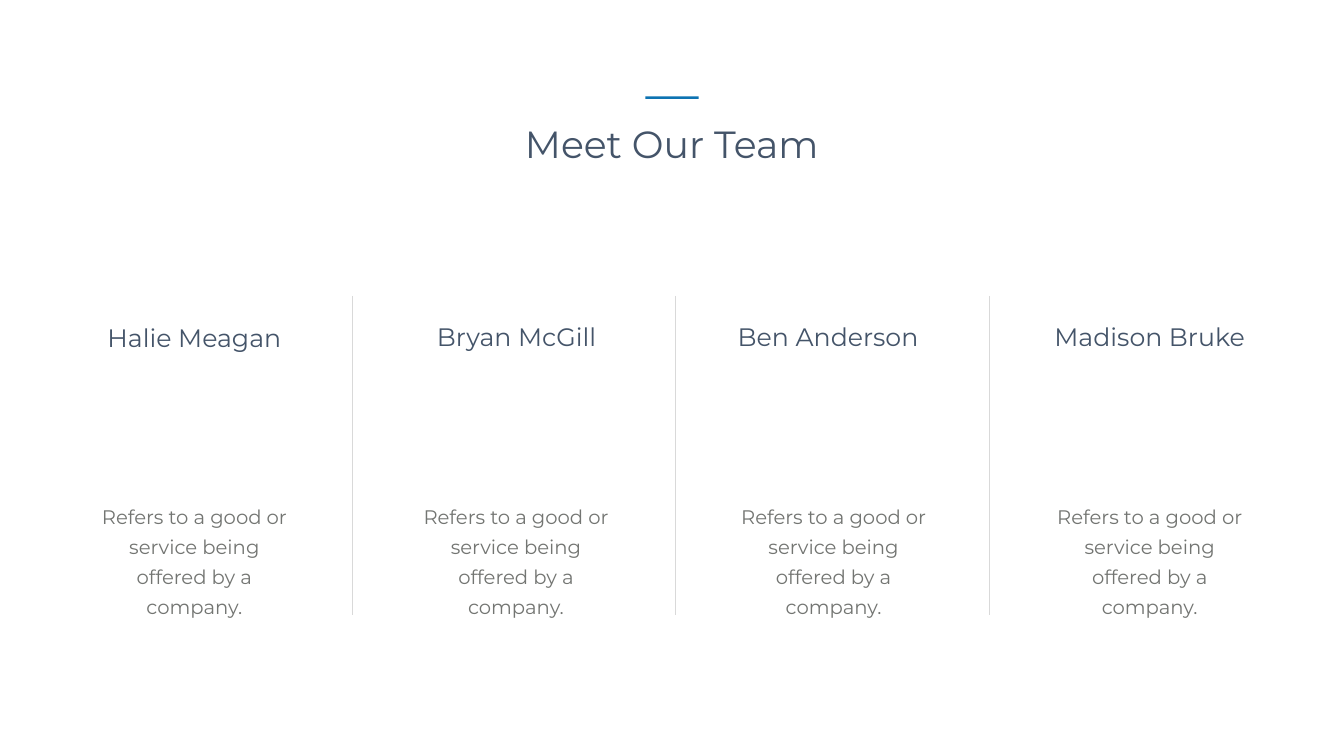
from lxml import etree
from pptx import Presentation
from pptx.dml.color import RGBColor
from pptx.enum import shapes, text
from pptx.oxml import ns
from pptx.util import Inches, Pt

FONT = "Montserrat"
COLORS = {"heading": "445469", "body": "737572", "accent": "0D73B2", "divider": "D9D9D9"}
DESCRIPTION = "Refers to a good or service being offered by a company."

# Name, left and top of the name, width of the name, left of the description
MEMBERS = [
    ("Halie Meagan", 1.81, 6.35, 4.09, 1.6),
    ("Bryan McGill", 8.2, 6.32, 4.09, 7.98),
    ("Ben Anderson", 14.29, 6.32, 4.27, 14.28),
    ("Madison Bruke", 20.76, 6.32, 4.09, 20.55),
]
DIVIDERS = [6.99, 13.39, 19.63]


def color(name):
    return RGBColor.from_string(COLORS[name])


def write(box, words, size, color_name, wrap=True):
    """Fill a text frame with one centred paragraph and return the paragraph."""
    frame = box.text_frame
    frame.word_wrap = wrap
    frame.auto_size = text.MSO_AUTO_SIZE.NONE
    frame.vertical_anchor = text.MSO_ANCHOR.TOP
    para = frame.paragraphs[0]
    para.alignment = text.PP_ALIGN.CENTER
    span = para.add_run()
    span.text = words
    span.font.name = FONT
    span.font.size = Pt(size)
    span.font.color.rgb = color(color_name)
    return para


def add_title(page, words):
    title = page.shapes.title
    title.left, title.top = Inches(10.26), Inches(2.34)
    title.width, title.height = Inches(6.13), Inches(1.01)
    write(title, words, 54, "heading", wrap=False)


def add_accent(page):
    bar = page.shapes.add_shape(shapes.MSO_SHAPE.RECTANGLE, Inches(12.8), Inches(1.91),
                                Inches(1.06), Inches(0.05))
    bar.shadow.inherit = False
    bar.fill.solid()
    bar.fill.fore_color.rgb = color("accent")
    bar.line.fill.background()


def add_name(page, name, left, top, width):
    box = page.shapes.add_textbox(Inches(left), Inches(top), Inches(width), Inches(0.71))
    write(box, name, 36, "heading")


def add_description(page, left):
    box = page.shapes.add_textbox(Inches(left), Inches(9.76), Inches(4.51), Inches(2))
    frame = box.text_frame
    frame.margin_left = frame.margin_right = Inches(0.24)
    frame.margin_top = frame.margin_bottom = Inches(0.12)
    para = write(box, DESCRIPTION, 28, "body")
    para.line_spacing = Pt(43)


def add_divider(page, x):
    line = page.shapes.add_connector(shapes.MSO_CONNECTOR.STRAIGHT, Inches(x), Inches(5.87),
                                     Inches(x), Inches(12.21))
    line.line.color.rgb = color("divider")
    line.line.width = Pt(0.5)
    etree.SubElement(line._element.spPr, ns.qn("a:effectLst"))


def main():
    deck = Presentation()
    deck.slide_width, deck.slide_height = Inches(26.66), Inches(15)
    page = deck.slides.add_slide(deck.slide_layouts.get_by_name("Title Only"))

    # Heading
    add_title(page, "Meet Our Team")
    add_accent(page)

    # Team columns
    for name, name_left, name_top, name_width, description_left in MEMBERS:
        add_name(page, name, name_left, name_top, name_width)
        add_description(page, description_left)

    # Lines between the columns
    for x in DIVIDERS:
        add_divider(page, x)

    deck.save("out.pptx")


if __name__ == "__main__":
    main()
